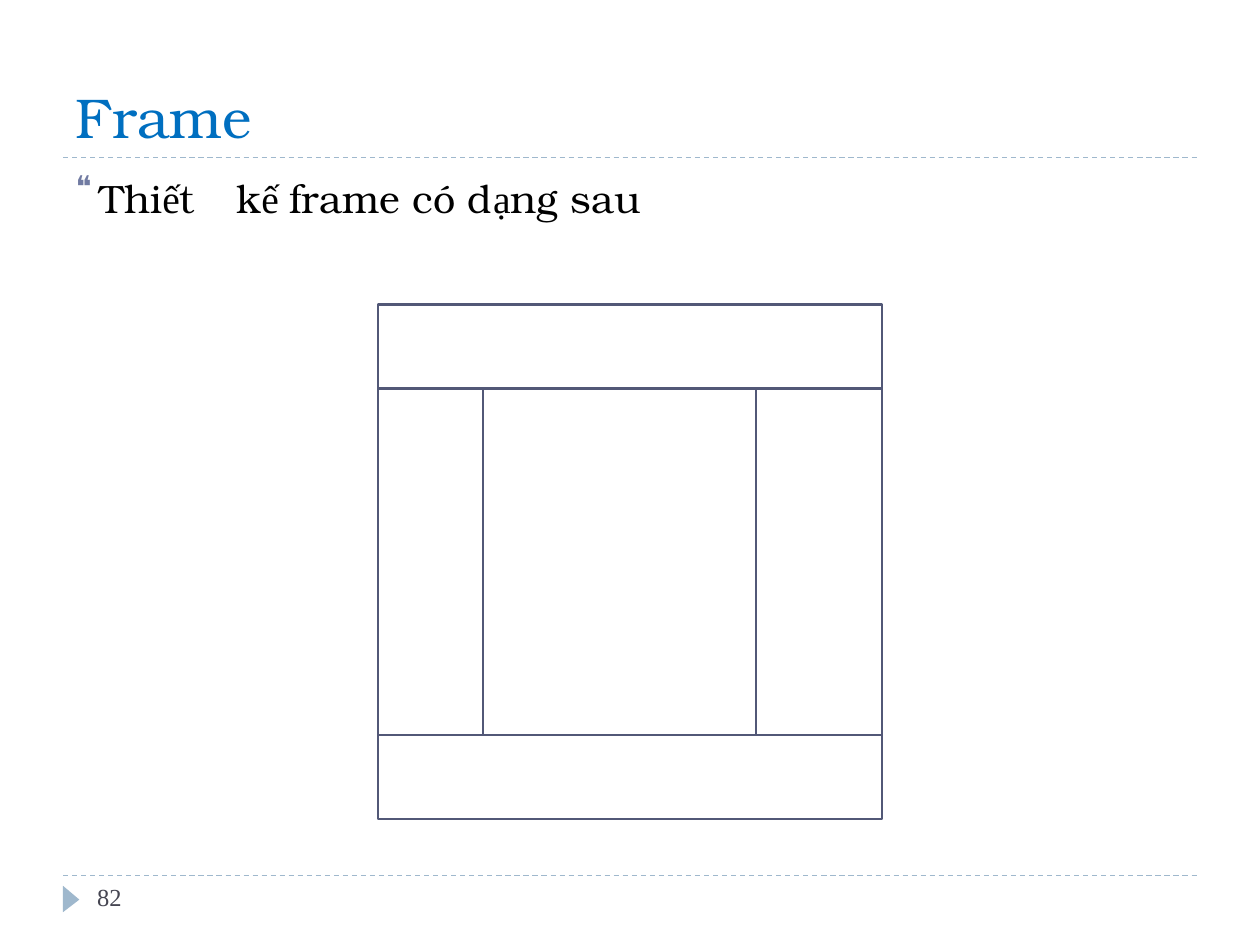
from typing import NamedTuple

from lxml import etree
from pptx import Presentation
from pptx import util as u
from pptx.dml.color import RGBColor
from pptx.enum import dml, shapes
from pptx.oxml import ns

COLORS = {
    "rule": "9FB8CD",
    "outline": "525877",
    "title": "006FC0",
    "bullet": "717BA2",
    "body": "000000",
    "number": "464652",
}
SERIF, LATIN_SERIF = "TeX Gyre Bonum", "Times New Roman"
CELL = u.Inches(1) // 12  # the layout grid: 120 columns by 90 rows


class Pane(NamedTuple):
    """One frame of the page layout, in grid columns and rows."""
    col: int
    row: int
    cols: int
    rows: int


PANES = [
    Pane(36, 29, 48, 8),
    Pane(36, 37, 10, 33),
    Pane(46, 37, 26, 33),
    Pane(72, 37, 12, 33),
    Pane(36, 70, 48, 8),
]


def color(name: str) -> RGBColor:
    return RGBColor.from_string(COLORS[name])


def add_pane(slide, pane: Pane) -> None:
    box = slide.shapes.add_shape(shapes.MSO_SHAPE.RECTANGLE, *(n * CELL for n in pane))
    box.shadow.inherit = False
    box.fill.background()
    box.line.color.rgb = color("outline")
    box.line.width = u.Pt(1.5)


def add_rule(slide, y: float) -> None:
    """Draw a dashed line between the side margins."""
    rule = slide.shapes.add_connector(
        shapes.MSO_CONNECTOR.STRAIGHT, u.Inches(0.5), u.Inches(y), u.Inches(9.5), u.Inches(y))
    rule.line.color.rgb = color("rule")
    rule.line.width = u.Pt(0.75)
    rule.line.dash_style = dml.MSO_LINE.DASH
    etree.SubElement(rule._element.spPr, ns.qn("a:effectLst"))


def add_page_marker(slide) -> None:
    outline = slide.shapes.build_freeform(u.Inches(0.5), u.Inches(7.03))
    outline.add_line_segments([(u.Inches(0.5), u.Inches(7.24)), (u.Inches(0.63), u.Inches(7.14))])
    marker = outline.convert_to_shape()
    marker.shadow.inherit = False
    marker.fill.solid()
    marker.fill.fore_color.rgb = color("rule")
    marker.line.fill.background()


def add_bullet(paragraph, char: str, hang: float) -> None:
    props = paragraph._p.get_or_add_pPr()
    props.set("marL", str(u.Inches(hang)))
    props.set("indent", str(-u.Inches(hang)))
    tint = etree.SubElement(props, ns.qn("a:buClr"))
    etree.SubElement(tint, ns.qn("a:srgbClr"), val=COLORS["bullet"])
    etree.SubElement(props, ns.qn("a:buSzPct"), val="44000")
    etree.SubElement(props, ns.qn("a:buFont"), typeface="Arial")
    etree.SubElement(props, ns.qn("a:buChar"), char=char)


def add_text(slide, runs: list[tuple[str, str]], at: tuple[float, ...], *, size: float,
             ink: str, leading: float, before: float = 0, raised: bool = False,
             bullet: str = "") -> None:
    """Add one line of text; each run is its wording and its font."""
    frame = slide.shapes.add_textbox(*map(u.Inches, at)).text_frame
    frame.margin_left = frame.margin_right = frame.margin_top = frame.margin_bottom = 0
    frame.word_wrap = True
    line = frame.paragraphs[0]
    line.line_spacing = u.Pt(leading)
    line.space_before = u.Pt(before)
    if bullet:
        add_bullet(line, bullet, hang=0.19)
    for wording, font in runs:
        run = line.add_run()
        run.text = wording
        run.font.name = font
        run.font.size = u.Pt(size)
        run.font.color.rgb = color(ink)
        if raised:
            run.font._element.set("baseline", "1000")


def main() -> None:
    deck = Presentation()
    deck.slide_width, deck.slide_height = 120 * CELL, 90 * CELL
    slide = deck.slides.add_slide(deck.slide_layouts[6])

    for y in (1.25, 6.95):
        add_rule(slide, y)
    add_page_marker(slide)
    for pane in PANES:
        add_pane(slide, pane)

    add_text(slide, [("Frame", SERIF)], (0.6, 0.72, 1.6, 0.47),
             size=32, ink="title", leading=34)
    body = dict(size=39, ink="body", leading=27.9, raised=True)
    add_text(slide, [("Thi", SERIF), ("ế", LATIN_SERIF), ("t", SERIF)],
             (0.6, 1.42, 1.25, 0.39), bullet="❝", **body)
    add_text(slide, [("k", SERIF), ("ế ", LATIN_SERIF), ("frame có d", SERIF),
                     ("ạ", LATIN_SERIF), ("ng sau", SERIF)],
             (1.88, 1.42, 3.79, 0.39), **body)
    add_text(slide, [("82", LATIN_SERIF)], (0.77, 7.02, 0.25, 0.22),
             size=14, ink="number", leading=15.3)

    deck.save("out.pptx")


if __name__ == "__main__":
    main()
